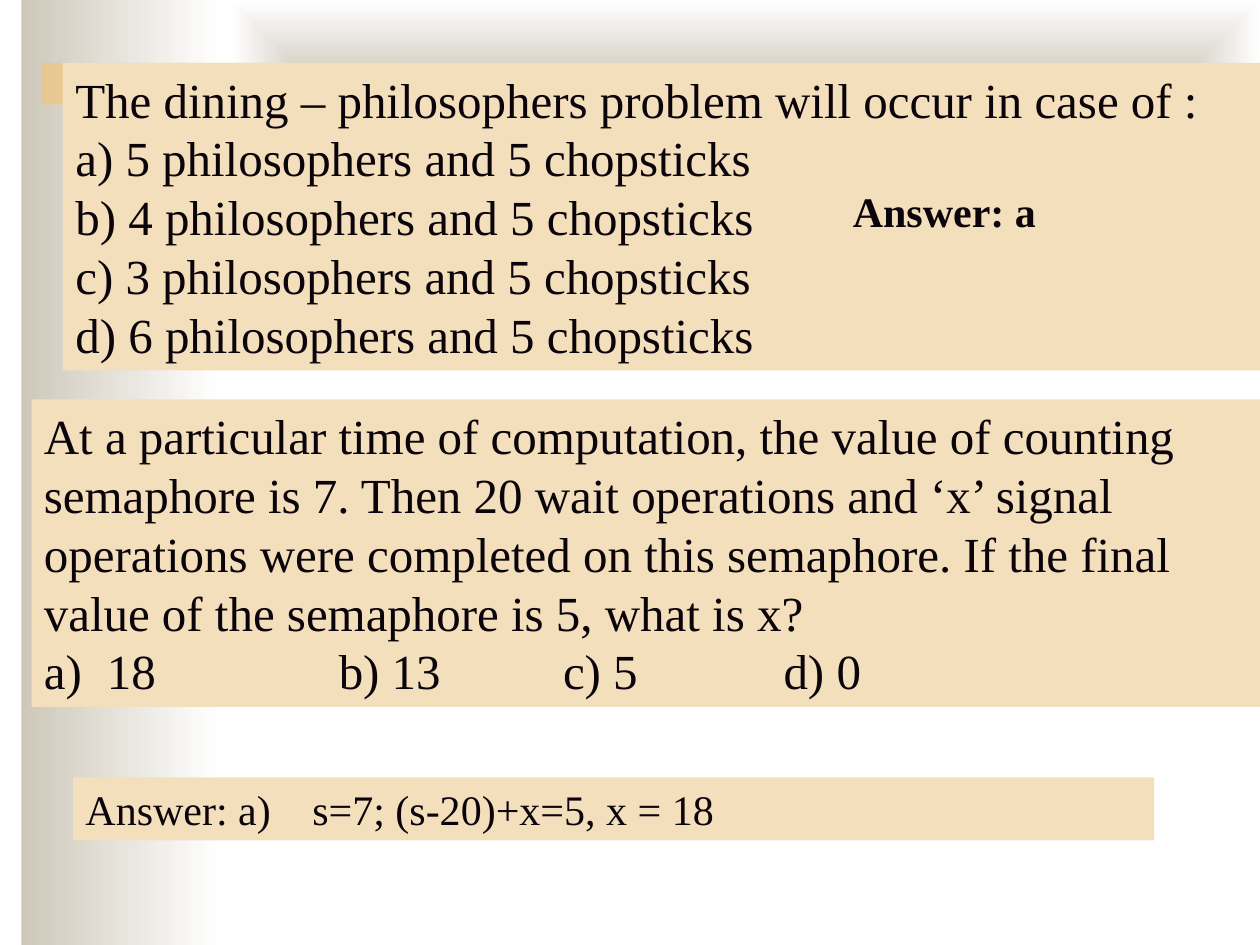
from dataclasses import dataclass

from lxml.etree import SubElement
from pptx import Presentation
from pptx.dml.color import RGBColor
from pptx.enum.shapes import MSO_SHAPE
from pptx.enum.text import MSO_ANCHOR, MSO_AUTO_SIZE, PP_ALIGN
from pptx.oxml.ns import qn
from pptx.util import Inches, Pt


@dataclass(frozen=True)
class Theme:
    stone: RGBColor = RGBColor.from_string("CEC8BA")
    white: RGBColor = RGBColor.from_string("FFFFFF")
    amber: RGBColor = RGBColor.from_string("FAC164")
    sand: RGBColor = RGBColor.from_string("F4DFBD")
    ink: RGBColor = RGBColor.from_string("0B050B")
    font: str = "Times New Roman"
    question: int = 28
    answer: int = 24


THEME = Theme()


def add_panel(slide, box):
    panel = slide.shapes.add_shape(MSO_SHAPE.RECTANGLE, *map(Inches, box))
    panel.shadow.inherit = False
    panel.line.fill.background()
    return panel


def fade_to_white(panel):
    panel.fill.gradient()
    panel.fill.gradient_angle = 0
    for stop, color in zip(panel.fill.gradient_stops, (THEME.stone, THEME.white)):
        stop.color.rgb = color


def add_backdrop(slide, side_box, top_box, accent_box):
    fade_to_white(add_panel(slide, side_box))

    top = add_panel(slide, top_box)
    fade_to_white(top)
    gradient = top.fill._xPr.find(qn("a:gradFill"))
    gradient.remove(gradient.find(qn("a:lin")))
    center = SubElement(gradient, qn("a:path"), path="rect")
    SubElement(center, qn("a:fillToRect"), l="50000", t="50000", r="50000", b="50000")

    accent = add_panel(slide, accent_box)
    accent.fill.solid()
    accent.fill.fore_color.rgb = THEME.amber
    color = accent.fill._xPr.find(qn("a:solidFill"))[0]
    SubElement(color, qn("a:alpha"), val="50000")


def write_lines(holder, lines, size, bold=False, tabs=()):
    frame = holder.text_frame
    frame.word_wrap = True
    frame.auto_size = MSO_AUTO_SIZE.SHAPE_TO_FIT_TEXT
    frame.vertical_anchor = MSO_ANCHOR.TOP
    frame.text = "\n".join(lines)
    for line in frame.paragraphs:
        line.alignment = PP_ALIGN.LEFT
        if tabs and "\t" in line.text:
            stops = SubElement(line._p.get_or_add_pPr(), qn("a:tabLst"))
            for position in tabs:
                SubElement(stops, qn("a:tab"), pos=str(Inches(position)), algn="l")
        line.font.name = THEME.font
        line.font.size = Pt(size)
        line.font.bold = bold
        line.font.color.rgb = THEME.ink


def add_card(slide, box, lines, size, tabs=()):
    card = add_panel(slide, box)
    card.fill.solid()
    card.fill.fore_color.rgb = THEME.sand
    write_lines(card, lines, size, tabs=tabs)


def add_answer_note(slide, box, answer):
    note = slide.shapes.add_textbox(*map(Inches, box))
    write_lines(note, [answer], THEME.answer, bold=True)


def main():
    deck = Presentation()
    deck.slide_width, deck.slide_height = Inches(10), Inches(7.5)
    slide = deck.slides.add_slide(deck.slide_layouts[6])

    add_backdrop(
        slide,
        side_box=(0.17, 0, 1.58, 7.5),
        top_box=(1.83, 0, 8.17, 1.33),
        accent_box=(0.33, 0.5, 2.75, 0.33),
    )

    options = [
        f"{letter}) {count} philosophers and 5 chopsticks"
        for letter, count in zip("abcd", (5, 4, 3, 6))
    ]
    add_card(
        slide,
        (0.5, 0.5, 9.5, 2.44),
        ["The dining – philosophers problem will occur in case of :", *options],
        THEME.question,
    )
    add_answer_note(slide, (6.67, 1.42, 2.33, 0.5), "Answer: a")

    semaphore_question = (
        "At a particular time of computation, the value of counting "
        "semaphore is 7. Then 20 wait operations and ‘x’ signal "
        "operations were completed on this semaphore. If the final "
        "value of the semaphore is 5, what is x?"
    )
    add_card(
        slide,
        (0.25, 3.17, 9.75, 2.44),
        [semaphore_question, "a)\t18\tb) 13\tc) 5\td) 0"],
        THEME.question,
        tabs=(0.5, 2.34, 4.12, 5.87),
    )
    add_card(
        slide,
        (0.58, 6.17, 8.58, 0.5),
        ["Answer: a)\ts=7; (s-20)+x=5, x = 18"],
        THEME.answer,
        tabs=(1.8,),
    )

    deck.save("out.pptx")


if __name__ == "__main__":
    main()
